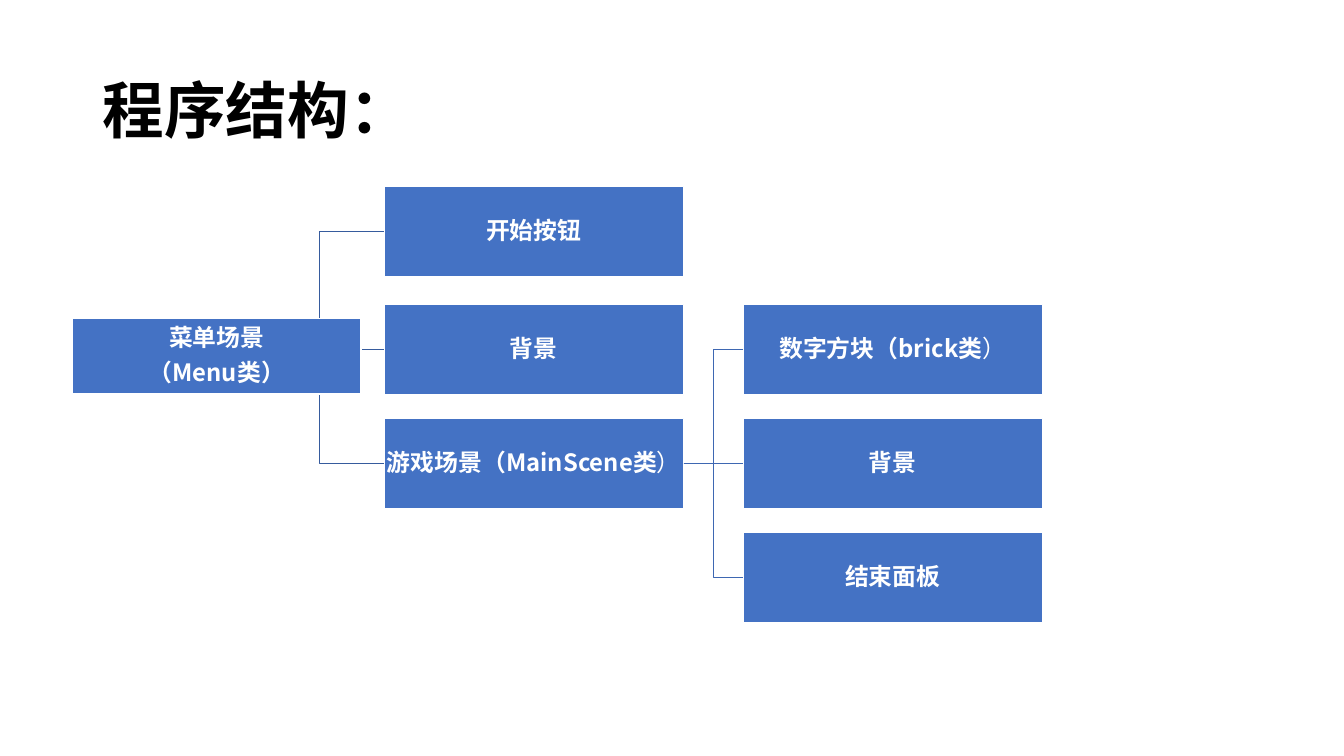
from pptx import Presentation
from pptx.dml.color import RGBColor
from pptx.enum.shapes import MSO_CONNECTOR, MSO_SHAPE
from pptx.enum.text import MSO_ANCHOR, PP_ALIGN
from pptx.oxml.ns import qn
from pptx.util import Inches, Pt
from lxml import etree

RECT = MSO_SHAPE.RECTANGLE
STRAIGHT = MSO_CONNECTOR.STRAIGHT
MIDDLE = MSO_ANCHOR.MIDDLE
CENTER, LEFT = PP_ALIGN.CENTER, PP_ALIGN.LEFT
LEFT_SIDE, RIGHT_SIDE = 1, 3

# Content: each paragraph is a tuple of (text, bold) runs
TITLE = [(("程序结构：", True),)]
MENU = [(("菜单场景", True),), (("（Menu类）", True),)]
MENU_PARTS = [
    [(("开始按钮", True),)],
    [(("背景", True),)],
    [(("游戏场景（MainScene类", True), ("）", False))],
]
GAME_PARTS = [
    [(("数字方块（brick类", True), ("）", False))],
    [(("背景", True),)],
    [(("结束面板", True),)],
]

THEME = {
    "font": "Noto Sans CJK SC",
    "title_size": Pt(44), "box_size": Pt(17),
    "line_spacing": 0.9, "box_gap": Pt(6), "line_width": Pt(1),
    "title": RGBColor(0x00, 0x00, 0x00),
    "white": RGBColor(0xFF, 0xFF, 0xFF),
    "box": RGBColor(0x44, 0x72, 0xC4),
    "menu_line": RGBColor(0x36, 0x5B, 0x9D),
    "game_line": RGBColor(0x3E, 0x67, 0xB2),
}

# Layout in inches
TITLE_AREA = (0.92, 0.4, 11.5, 1.45)
MENU_AREA = (0.72, 3.16, 2.86, 0.75)
MENU_CENTRE = (2.53, 3.53)
PART_SIZE = (2.97, 0.9)
MENU_PARTS_X, GAME_PARTS_X = 3.81, 7.37
BUTTON_Y, FIRST_ROW_Y, ROW_STEP = 1.85, 3.02, 1.13
GAME_ROWS = [FIRST_ROW_Y + i * ROW_STEP for i in range(3)]
MENU_ROWS = [BUTTON_Y] + GAME_ROWS[:2]


def write(frame, paragraphs, size, color, align, gap, margins=None):
    frame_format = {"word_wrap": True, "vertical_anchor": MIDDLE}
    if margins is not None:
        for side in ("left", "right", "top", "bottom"):
            frame_format["margin_" + side] = margins
    for key, value in frame_format.items():
        setattr(frame, key, value)
    for index, runs in enumerate(paragraphs):
        paragraph = frame.add_paragraph() if index else frame.paragraphs[0]
        paragraph_format = {"alignment": align, "space_after": gap,
                            "line_spacing": THEME["line_spacing"]}
        for key, value in paragraph_format.items():
            setattr(paragraph, key, value)
        for text, bold in runs:
            run = paragraph.add_run()
            run.text = text
            run_format = {"name": THEME["font"], "size": size, "bold": bold}
            for key, value in run_format.items():
                setattr(run.font, key, value)
            run.font.color.rgb = color
            east_asian = etree.SubElement(run.font._element, qn("a:ea"))
            east_asian.set("typeface", THEME["font"])


def add_box(slide, area, paragraphs):
    box = slide.shapes.add_shape(RECT, *map(Inches, area))
    box.shadow.inherit = False
    box.fill.solid()
    box.fill.fore_color.rgb = THEME["box"]
    set_line(box, THEME["white"])
    write(box.text_frame, paragraphs, THEME["box_size"], THEME["white"],
          CENTER, THEME["box_gap"], Inches(0.01))
    return box


def set_line(shape, color):
    shape.line.color.rgb = color
    shape.line.width = THEME["line_width"]


def add_branch(slide, start, end, color):
    """Draw a line that turns halfway between start and end."""
    (x1, y1), (x2, y2) = start, end
    bend = (x1 + x2) // 2
    builder = slide.shapes.build_freeform(x1, y1)
    builder.add_line_segments([(bend, y1), (bend, y2), end], close=False)
    branch = builder.convert_to_shape()
    branch.shadow.inherit = False
    branch.fill.background()
    set_line(branch, color)


def add_level_link(slide, parent, child, color):
    link = slide.shapes.add_connector(STRAIGHT, 0, 0, 0, 0)
    link.begin_connect(parent, RIGHT_SIDE)
    link.end_connect(child, LEFT_SIDE)
    set_line(link, color)
    etree.SubElement(link._element.spPr, qn("a:effectLst"))


def left_middle(box):
    return box.left, box.top + box.height // 2


def add_column(slide, x, rows, parts):
    return [add_box(slide, (x, y, *PART_SIZE), part)
            for y, part in zip(rows, parts)]


def main():
    deck = Presentation()
    deck.slide_width, deck.slide_height = Inches(13.33), Inches(7.5)
    slide = deck.slides.add_slide(deck.slide_layouts[6])

    title = slide.shapes.add_textbox(*map(Inches, TITLE_AREA))
    write(title.text_frame, TITLE, THEME["title_size"], THEME["title"],
          LEFT, Pt(0))

    menu_parts = add_column(slide, MENU_PARTS_X, MENU_ROWS, MENU_PARTS)
    game_parts = add_column(slide, GAME_PARTS_X, GAME_ROWS, GAME_PARTS)

    menu_centre = tuple(map(Inches, MENU_CENTRE))
    for part in menu_parts:
        add_branch(slide, menu_centre, left_middle(part), THEME["menu_line"])
    # The menu box covers the start of its branches
    add_box(slide, MENU_AREA, MENU)

    game = menu_parts[-1]
    game_exit = (game.left + game.width, game.top + game.height // 2)
    for part in game_parts:
        if part.top == game.top:
            add_level_link(slide, game, part, THEME["game_line"])
        else:
            add_branch(slide, game_exit, left_middle(part), THEME["game_line"])

    deck.save("out.pptx")


if __name__ == "__main__":
    main()
